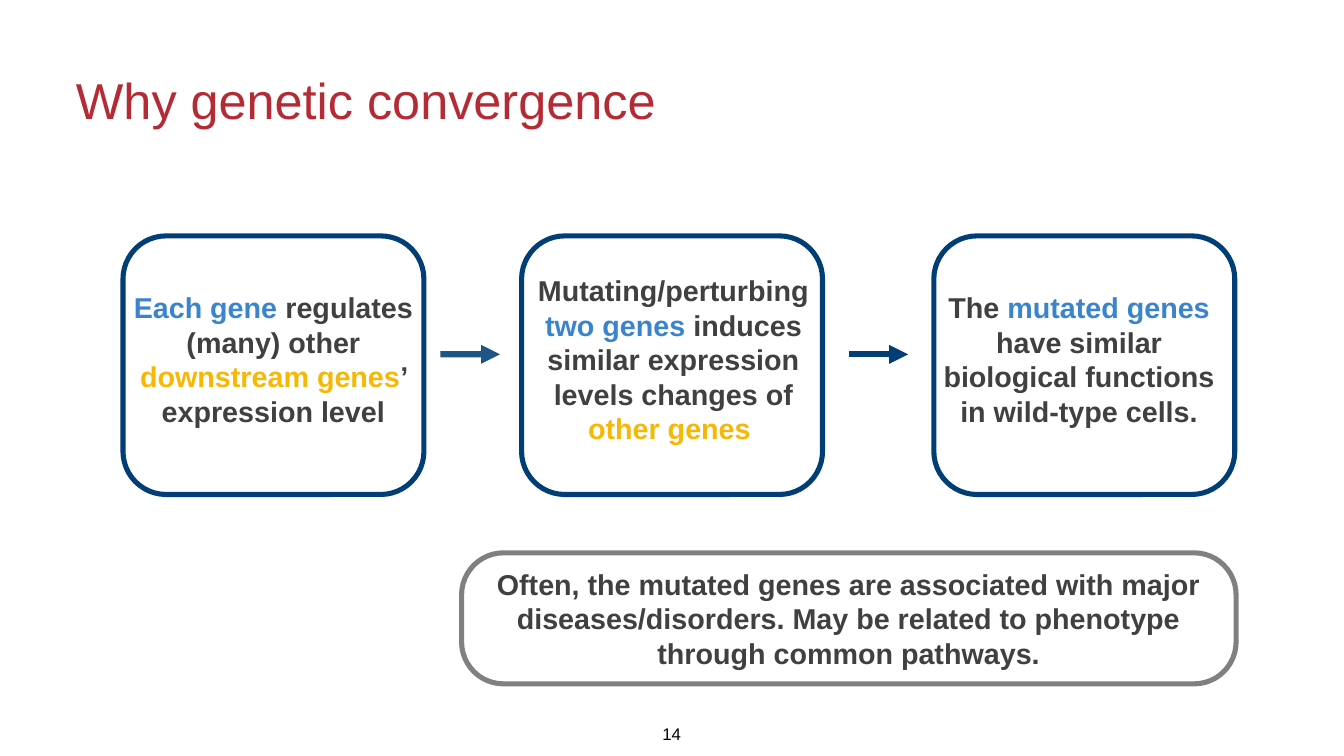
from dataclasses import dataclass

import pptx
import pptx.dml.color
import pptx.enum.shapes
import pptx.enum.text
import pptx.oxml
import pptx.oxml.ns
import pptx.util
from pptx.shapes.connector import Connector
from pptx.slide import Slide

Pt = pptx.util.Pt

COLORS = {
    "title": "B42B36",
    "navy": "003E75",
    "gray": "808080",
    "body": "404040",
    "blue": "3984CD",
    "gold": "F6B705",
    "black": "000000",
}


@dataclass
class Area:
    left: float
    top: float
    width: float
    height: float

    def lengths(self) -> list:
        return [Pt(value) for value in (self.left, self.top, self.width, self.height)]


@dataclass
class Step:
    frame_left: float
    text_left: float
    text_width: float
    text_height: float
    spans: list[tuple[str, str]]


@dataclass
class Arrow:
    start: float
    opacity: int


FRAME_TOP, FRAME_WIDTH, FRAME_HEIGHT = 337, 430, 369.4
TEXT_MIDDLE = 513
ARROW_TOP, ARROW_LENGTH = 506.2, 85

STEPS = [
    Step(175.7, 175.7, 430, 206.6, [
        ("Each gene", "blue"),
        (" regulates (many) other ", "body"),
        ("downstream genes", "gold"),
        ("’ expression level", "body"),
    ]),
    Step(745.2, 736.6, 451.4, 256.3, [
        ("Mutating/perturbing ", "body"),
        ("two genes ", "blue"),
        ("induces similar expression levels changes of ", "body"),
        ("other genes ", "gold"),
    ]),
    Step(1334.2, 1339.2, 405.4, 206.6, [
        ("The ", "body"),
        ("mutated genes ", "blue"),
        ("have similar biological functions in wild-type cells.", "body"),
    ]),
]

ARROWS = [Arrow(629.3, 87), Arrow(1212.5, 100)]

CONCLUSION = (
    "Often, the mutated genes are associated with major diseases/disorders. "
    "May be related to phenotype through common pathways."
)


def rgb(name: str) -> pptx.dml.color.RGBColor:
    return pptx.dml.color.RGBColor.from_string(COLORS[name])


def add_text(page: Slide, area: Area, spans: list[tuple[str, str]], *, size: float = 41,
             bold: bool = True, wrap: bool = True, middle: bool = True) -> None:
    box = page.shapes.add_textbox(*area.lengths())
    frame = box.text_frame
    frame.word_wrap = wrap
    frame.margin_left = frame.margin_right = Pt(4)
    frame.margin_top = frame.margin_bottom = Pt(4)
    anchors = pptx.enum.text.MSO_ANCHOR
    frame.vertical_anchor = anchors.MIDDLE if middle else anchors.TOP
    para = frame.paragraphs[0]
    para.alignment = pptx.enum.text.PP_ALIGN.CENTER
    for text, color in spans:
        span = para.add_run()
        span.text = text
        span.font.name = "Arial"
        span.font.size = Pt(size)
        span.font.bold = bold
        span.font.color.rgb = rgb(color)


def add_frame(page: Slide, area: Area, color: str, rounding: float = 0.1667) -> None:
    frame = page.shapes.add_shape(
        pptx.enum.shapes.MSO_SHAPE.ROUNDED_RECTANGLE, *area.lengths())
    frame.shadow.inherit = False
    frame.adjustments[0] = rounding
    frame.fill.background()
    frame.line.color.rgb = rgb(color)
    frame.line.width = Pt(7.25)


def add_arrow(page: Slide, arrow: Arrow) -> Connector:
    connector = page.shapes.add_connector(
        pptx.enum.shapes.MSO_CONNECTOR.STRAIGHT,
        Pt(arrow.start), Pt(ARROW_TOP), Pt(arrow.start + ARROW_LENGTH), Pt(ARROW_TOP))
    connector.line.color.rgb = rgb("navy")
    connector.line.width = Pt(9)
    qn, element = pptx.oxml.ns.qn, pptx.oxml.xmlchemy.OxmlElement
    properties = connector.element.spPr
    outline = properties.find(qn("a:ln"))
    if arrow.opacity < 100:
        alpha = element("a:alpha")
        alpha.set("val", str(arrow.opacity * 1000))
        outline.find(f".//{qn('a:srgbClr')}").append(alpha)
    head = element("a:tailEnd")
    head.set("type", "triangle")
    outline.append(head)
    properties.append(element("a:effectLst"))
    return connector


def main() -> None:
    deck = pptx.Presentation()
    deck.slide_width, deck.slide_height = Pt(1920.24), Pt(1080)
    page = deck.slides.add_slide(deck.slide_layouts[6])

    add_text(page, Area(82.8, 95, 880, 95), [("Why genetic convergence", "title")],
             size=72, bold=False, wrap=False)
    for step in STEPS:
        add_frame(page, Area(step.frame_left, FRAME_TOP, FRAME_WIDTH, FRAME_HEIGHT), "navy")
        text_top = TEXT_MIDDLE - step.text_height / 2
        add_text(page, Area(step.text_left, text_top, step.text_width, step.text_height),
                 step.spans)
    for arrow in ARROWS:
        add_arrow(page, arrow)
    add_frame(page, Area(659.5, 789.8, 1106.6, 187.2), "gray", 0.32)
    add_text(page, Area(659.5, 805, 1106.6, 157), [(CONCLUSION, "body")])
    add_text(page, Area(941.8, 1030.3, 36, 36), [("14", "black")],
             size=24, bold=False, wrap=False, middle=False)

    deck.save("out.pptx")


if __name__ == "__main__":
    main()
